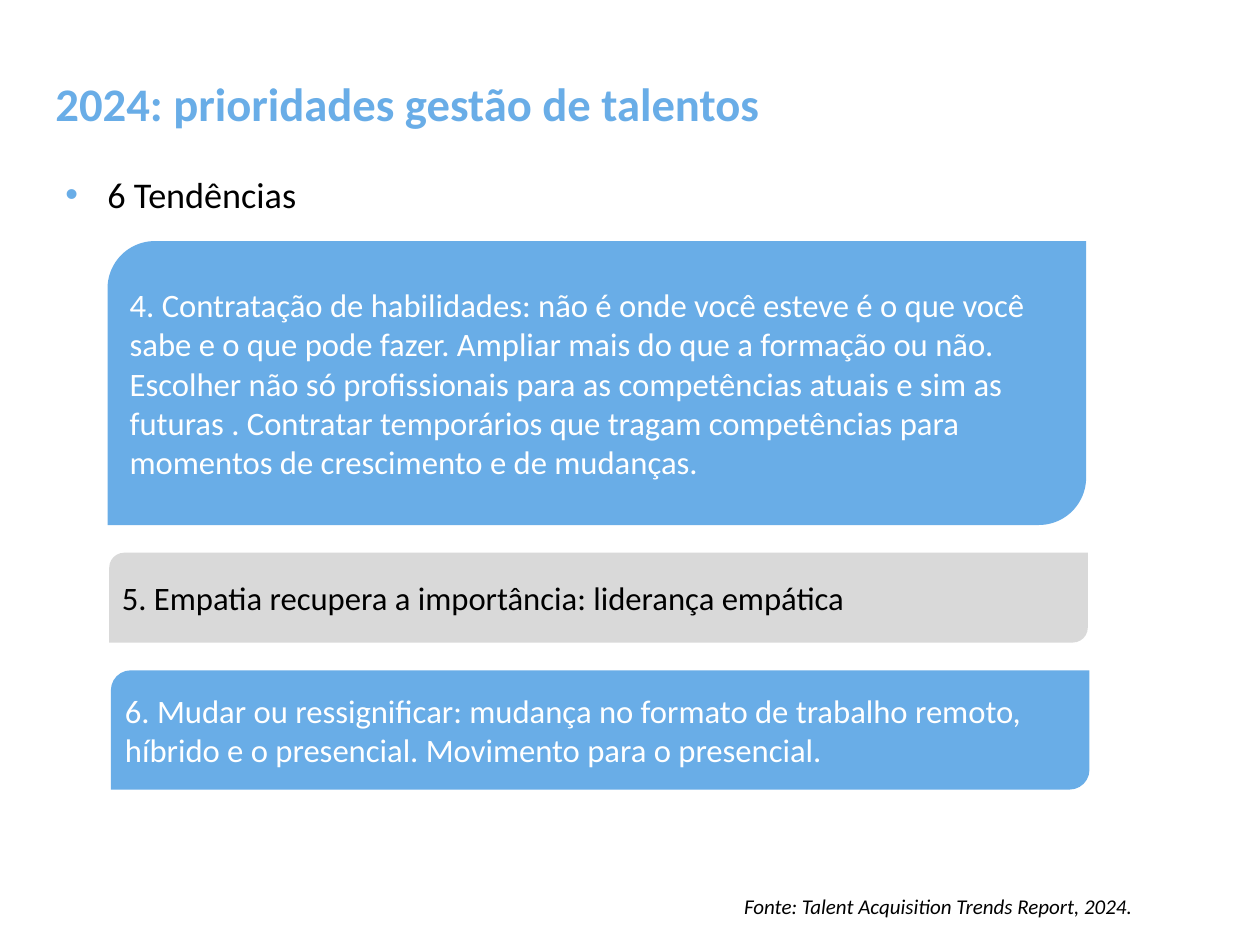
"""Build the slide on talent management priorities for 2024."""
import pptx
import pptx.util
import pptx.dml.color
import pptx.enum.shapes
import pptx.enum.text
import pptx.oxml

WIDTH, HEIGHT = 15, 11.25
BLUE, GREY, BLACK, WHITE = "69ADE7", "D9D9D9", "000000", "FFFFFF"
CARD_LEFT, CARD_TOP, CARD_WIDTH = 1.28, 2.87, 11.65
CARD_STEP, CARD_GAP = 0.02, 0.33
CARDS = [
    (3.38, BLUE, WHITE,
     "4. Contratação de habilidades: não é onde você esteve é o que você sabe "
     "e o que pode fazer. Ampliar mais do que a formação ou não. Escolher não "
     "só profissionais para as competências atuais e sim as futuras . "
     "Contratar temporários que tragam competências para momentos de "
     "crescimento e de mudanças."),
    (1.07, GREY, BLACK,
     "5. Empatia recupera a importância: liderança empática"),
    (1.42, BLUE, WHITE,
     "6. Mudar ou ressignificar: mudança no formato de trabalho remoto, "
     "híbrido e o presencial. Movimento para o presencial."),
]


def rgb(value):
    """Turn a hex string into a colour."""
    return pptx.dml.color.RGBColor.from_string(value)


def inches(*values):
    """Turn numbers into lengths in inches."""
    return [pptx.util.Inches(v) for v in values]


def write(tf, text, size, color, bold=False, italic=False):
    """Put one left-aligned run into a text frame and return its paragraph."""
    tf.word_wrap = True
    tf.auto_size = pptx.enum.text.MSO_AUTO_SIZE.NONE
    p = tf.paragraphs[0]
    p.alignment = pptx.enum.text.PP_ALIGN.LEFT
    r = p.add_run()
    r.text = text
    r.font.name = "Calibri"
    r.font.size = pptx.util.Pt(size)
    r.font.bold = bold
    r.font.italic = italic
    r.font.color.rgb = rgb(color)
    return p


def add_title(s, text):
    """Place and format the title placeholder."""
    sp = s.shapes.title
    sp.left, sp.top, sp.width, sp.height = inches(0.56, 0.72, 12.37, 1.02)
    sp.text_frame.vertical_anchor = pptx.enum.text.MSO_ANCHOR.MIDDLE
    write(sp.text_frame, text, 40, BLUE, bold=True)


def add_text(s, box, text, size, italic=False):
    """Add a text box and return its paragraph."""
    sp = s.shapes.add_textbox(*inches(*box))
    return write(sp.text_frame, text, size, BLACK, italic=italic)


def add_bullet(p, color):
    """Give a paragraph a coloured bullet and a hanging indent."""
    pPr = p._p.get_or_add_pPr()
    indent = pptx.util.Inches(0.5)
    pPr.set("marL", str(indent))
    pPr.set("indent", str(-indent))
    ns = 'xmlns:a="http://schemas.openxmlformats.org/drawingml/2006/main"'
    for xml in (f'<a:buClr {ns}><a:srgbClr val="{color}"/></a:buClr>',
                f'<a:buFont {ns} typeface="Arial"/>',
                f'<a:buChar {ns} char="•"/>'):
        pPr.append(pptx.oxml.parse_xml(xml))


def add_card(s, box, fill, color, text):
    """Add a card with two opposite rounded corners."""
    kind = pptx.enum.shapes.MSO_SHAPE.ROUND_2_DIAG_RECTANGLE
    sp = s.shapes.add_shape(kind, *inches(*box))
    sp.shadow.inherit = False
    sp.fill.solid()
    sp.fill.fore_color.rgb = rgb(fill)
    sp.line.fill.background()
    sp.text_frame.vertical_anchor = pptx.enum.text.MSO_ANCHOR.MIDDLE
    write(sp.text_frame, text, 28, color)


def main():
    """Build and save the slide."""
    prs = pptx.Presentation()
    prs.slide_width, prs.slide_height = inches(WIDTH, HEIGHT)
    s = prs.slides.add_slide(prs.slide_layouts[5])
    add_title(s, "2024: prioridades gestão de talentos")
    p = add_text(s, (0.68, 2, 13.18, 0.62), "6 Tendências", 31)
    add_bullet(p, BLUE)
    left, top = CARD_LEFT, CARD_TOP
    for height, fill, color, text in CARDS:
        add_card(s, (left, top, CARD_WIDTH, height), fill, color, text)
        left += CARD_STEP
        top += height + CARD_GAP
    add_text(s, (8.76, 10.59, 5.5, 0.4),
             "Fonte: Talent Acquisition Trends Report, 2024.", 18, italic=True)
    prs.save("out.pptx")


if __name__ == "__main__":
    main()
